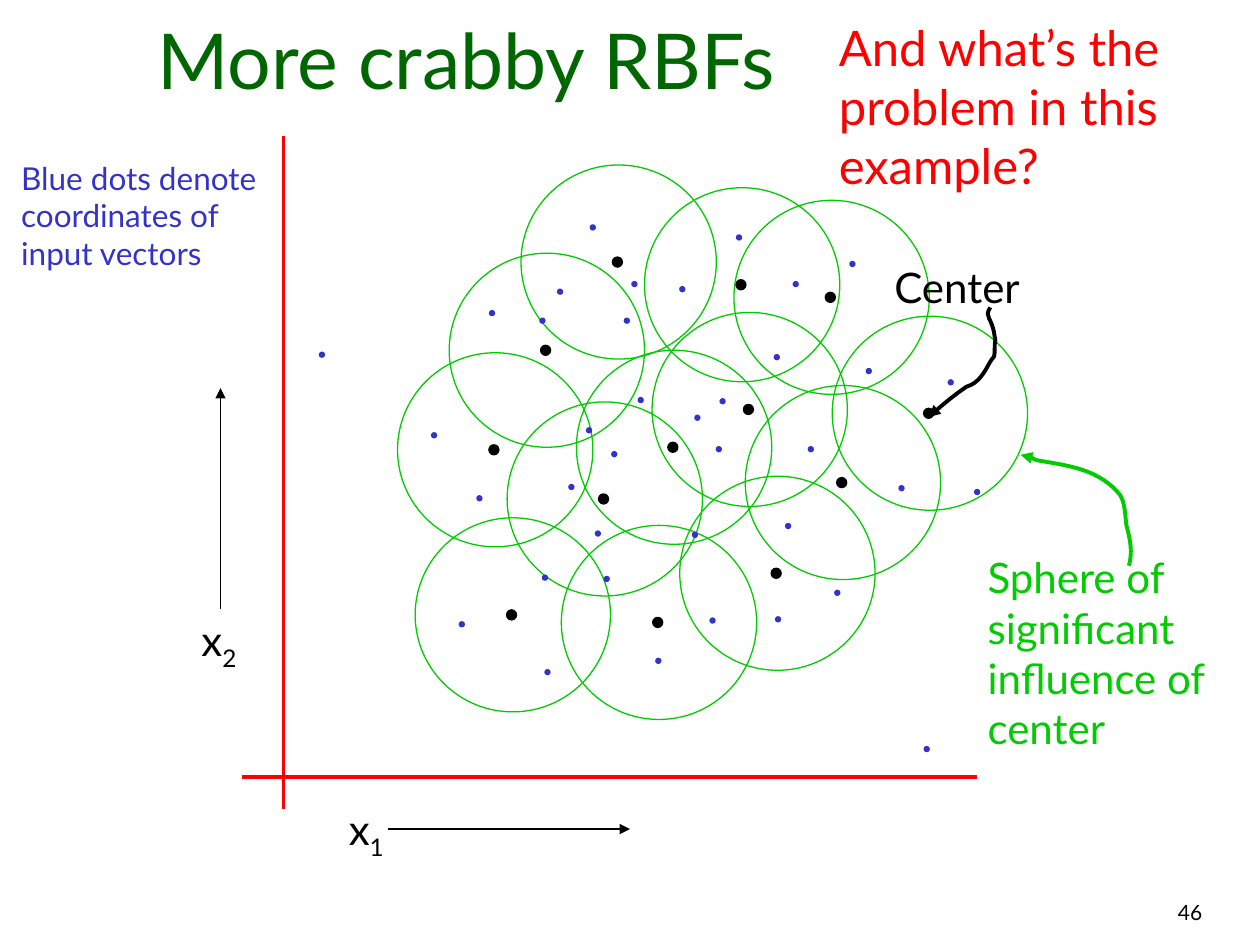
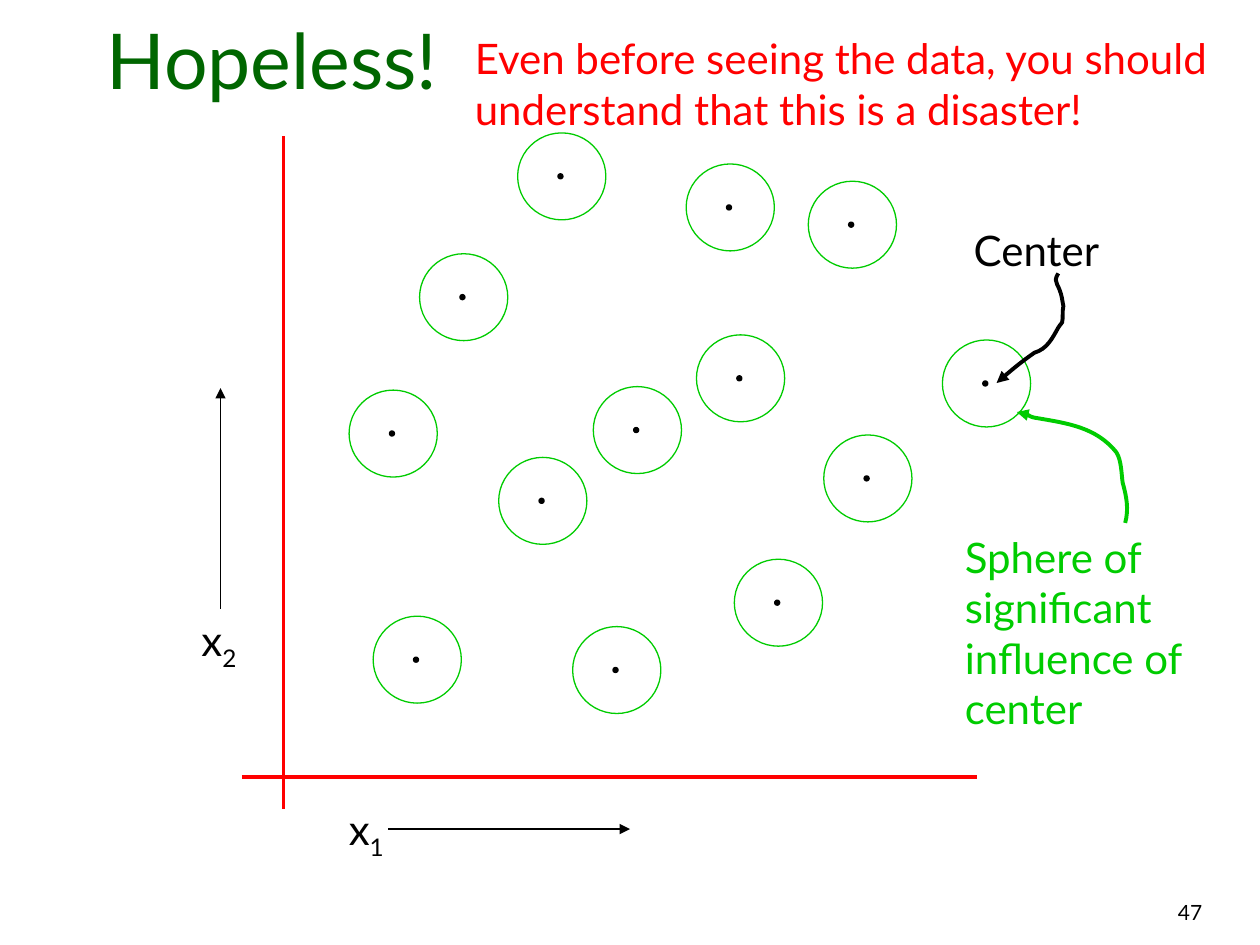
import pptx
import pptx.dml.color
import pptx.enum.shapes
import pptx.enum.text
import pptx.oxml
import pptx.oxml.ns
import pptx.util
from lxml import etree

Inches, Pt = pptx.util.Inches, pptx.util.Pt
colour = pptx.dml.color.RGBColor.from_string
qn = pptx.oxml.ns.qn
ALIGN = pptx.enum.text.PP_ALIGN
ANCHOR = pptx.enum.text.MSO_ANCHOR

FONT = "Lato"
BLACK, RED, GREEN, BLUE, TITLE_GREEN = "000000", "FF0000", "00CC00", "3333CC", "006600"


def add_text(slide, box, text, size, ink, align=ALIGN.LEFT, anchor=ANCHOR.TOP):
    frame = slide.shapes.add_textbox(*map(Inches, box)).text_frame
    frame.word_wrap = True
    frame.vertical_anchor = anchor
    paragraph = frame.paragraphs[0]
    paragraph.alignment = align
    paragraph.font.name = FONT
    paragraph.font.size = Pt(size)
    paragraph.font.color.rgb = colour(ink)
    paragraph.add_run().text = text
    return paragraph


def add_ellipse(slide, x, y, width, height, fill=None, line=None):
    """Draw an ellipse centred on x, y."""
    ellipse = slide.shapes.add_shape(
        pptx.enum.shapes.MSO_SHAPE.OVAL,
        Inches(x - width / 2), Inches(y - height / 2), Inches(width), Inches(height))
    ellipse.shadow.inherit = False
    if fill:
        ellipse.fill.solid()
        ellipse.fill.fore_color.rgb = colour(fill)
    else:
        ellipse.fill.background()
    if line:
        ellipse.line.color.rgb = colour(line)
        ellipse.line.width = Pt(0.75)
    else:
        ellipse.line.fill.background()


# Axes: from x, y to x, y, colour, width, arrowhead
AXES = [
    (2.25, 1.08, 2.25, 6.42, RED, 2.25, False),
    (1.92, 6.17, 7.75, 6.17, RED, 2.25, False),
    (3.08, 6.58, 5.00, 6.58, BLACK, 1, True),
    (1.75, 4.83, 1.75, 3.08, BLACK, 1, True),
]
AXIS_NAMES = [("1", 2.67, 6.33), ("2", 1.5, 4.83)]

# Callout curves: start point, then Bezier points, relative to the arrow tip
SPHERE_CURVE = [
    (.86, .88), (.89, .77), (.87, .67), (.84, .56), (.83, .49), (.83, .38), (.79, .32),
    (.63, .12), (.40, .09), (.17, .05), (.10, .04), (.07, 0), (0, 0),
]
CENTER_CURVE = [
    (.49, -.87), (.48, -.85), (.47, -.84), (.47, -.82), (.47, -.79), (.49, -.77), (.50, -.74),
    (.52, -.69), (.52, -.66), (.53, -.61), (.52, -.57), (.53, -.52), (.52, -.48),
    (.51, -.46), (.49, -.45), (.49, -.44), (.44, -.35), (.40, -.27), (.30, -.24),
    (.20, -.17), (.09, -.08), (0, 0),
]

# RBF centers; the second slide spreads the same layout
CENTERS = [
    (4.79, 3.96), (7.37, 3.28), (5.34, 3.55), (5.22, 4.94), (6.16, 4.55), (3.92, 3.57), (5.88, 2.26),
    (5.94, 3.25), (4.90, 2.08), (4.06, 4.88), (4.33, 2.78), (6.68, 3.83), (6.59, 2.36),
]
SPREAD_CENTERS = [(1.365 * x - 2.24, 1.37 * y - 1.45) for x, y in CENTERS]

# Left and top of each blue dot
INPUTS = [
    (5.71, 3.16), (4.51, 3.84), (6.74, 2.07), (3.88, 2.46), (4.42, 2.29), (7.52, 3.01), (6.87, 2.92),
    (6.29, 2.23), (5.39, 2.27), (4.65, 3.39), (3.78, 3.93), (4.95, 2.52), (5.51, 3.29), (5.68, 3.54),
    (5.49, 4.22), (6.23, 4.15), (3.64, 4.93), (5.20, 5.22), (6.15, 4.89), (6.41, 3.54), (6.62, 4.68),
    (7.13, 3.85), (3.42, 3.43), (4.85, 3.58), (6.14, 2.81), (5.06, 3.15), (4.28, 2.52), (5.01, 2.23),
    (5.84, 1.86), (4.68, 1.78), (4.72, 4.21), (4.79, 4.57), (4.30, 4.56), (4.32, 5.31), (7.73, 3.88),
    (5.63, 4.90), (2.53, 2.79), (7.33, 5.92),
]
INPUT_SIZE = 0.05

SLIDES = [
    dict(number="46", title="More crabby RBFs", title_width=6.9,
         remark="And what’s the problem in this example?", remark_box=(6.56, 0.09, 3.37, 1.5), remark_size=28,
         centers=CENTERS, dot=0.08, sphere=(1.55, 1.54), inputs=INPUTS,
         center_label=(7, 2.03), center_tip=(7.37, 3.31),
         sphere_label=(7.74, 4.33), sphere_tip=(8.1, 3.61)),
    dict(number="47", title="Hopeless!", title_width=3.82,
         remark="Even before seeing the data, you should understand that this is a disaster!",
         remark_box=(3.67, 0.21, 6.26, 1.3), remark_size=24,
         centers=SPREAD_CENTERS, dot=0.04, sphere=(0.7, 0.69), inputs=[],
         center_label=(7.63, 1.73), center_tip=(7.91, 3.04),
         sphere_label=(7.56, 4.17), sphere_tip=(8.07, 3.27)),
]

deck = pptx.Presentation()
deck.slide_width, deck.slide_height = Inches(10), Inches(7.5)

for content in SLIDES:
    slide = deck.slides.add_slide(deck.slide_layouts[6])
    arrows = []

    # Slide number, title and remark
    add_text(slide, (5.72, 7.09, 3.92, 0.33), content["number"], 12, BLACK, ALIGN.RIGHT)
    add_text(slide, (0.25, 0.17, content["title_width"], 0.71), content["title"], 44, TITLE_GREEN,
             ALIGN.CENTER, ANCHOR.BOTTOM)
    add_text(slide, content["remark_box"], content["remark"], content["remark_size"], RED)

    # Axes with their names
    for x1, y1, x2, y2, ink, width, has_arrow in AXES:
        axis = slide.shapes.add_connector(
            pptx.enum.shapes.MSO_CONNECTOR.STRAIGHT, Inches(x1), Inches(y1), Inches(x2), Inches(y2))
        axis.line.color.rgb = colour(ink)
        axis.line.width = Pt(width)
        etree.SubElement(axis._element.spPr, qn("a:effectLst"))
        if has_arrow:
            arrows.append(axis)
    for index, left, top in AXIS_NAMES:
        name = add_text(slide, (left, top, 0.5, 0.56), "x", 24, BLACK)
        subscript = name.add_run()
        subscript.text = index
        subscript._r.get_or_add_rPr().set("baseline", "-25000")

    # Centers and their spheres of influence
    for x, y in content["centers"]:
        add_ellipse(slide, x, y, content["dot"], content["dot"], BLACK, BLACK)
        add_ellipse(slide, x + 0.01, y, *content["sphere"], line=GREEN)

    # Callouts
    add_text(slide, (*content["center_label"], 2.36, 0.5), "Center", 24, BLACK)
    add_text(slide, (*content["sphere_label"], 2.26, 1.7),
             "Sphere of significant influence of center", 24, GREEN)
    for curve, (tip_x, tip_y), ink in [(SPHERE_CURVE, content["sphere_tip"], GREEN),
                                       (CENTER_CURVE, content["center_tip"], BLACK)]:
        points = [(Inches(tip_x + dx), Inches(tip_y + dy)) for dx, dy in curve]
        builder = slide.shapes.build_freeform(*points[0])
        builder.add_line_segments(points[1:], close=False)
        callout = builder.convert_to_shape()
        callout.shadow.inherit = False
        callout.fill.background()
        callout.line.color.rgb = colour(ink)
        callout.line.width = Pt(2.25)
        arrows.append(callout)
        # Every three straight segments become one Bezier segment
        outline = callout._element.find(".//" + qn("a:path"))
        segments = outline.findall(qn("a:lnTo"))
        for first in range(0, len(segments), 3):
            bezier = etree.SubElement(outline, qn("a:cubicBezTo"))
            for segment in segments[first:first + 3]:
                bezier.append(segment[0])
                outline.remove(segment)

    # Arrowheads
    for arrow in arrows:
        line = arrow._element.spPr.find(qn("a:ln"))
        etree.SubElement(line, qn("a:tailEnd"), type="triangle")

    # Input vectors
    for left, top in content["inputs"]:
        add_ellipse(slide, left + INPUT_SIZE / 2, top + INPUT_SIZE / 2, INPUT_SIZE, INPUT_SIZE, BLUE)
    if content["inputs"]:
        add_text(slide, (0.07, 1.21, 2.14, 1.3), "Blue dots denote coordinates of input vectors", 18, BLUE)

deck.save("out.pptx")
